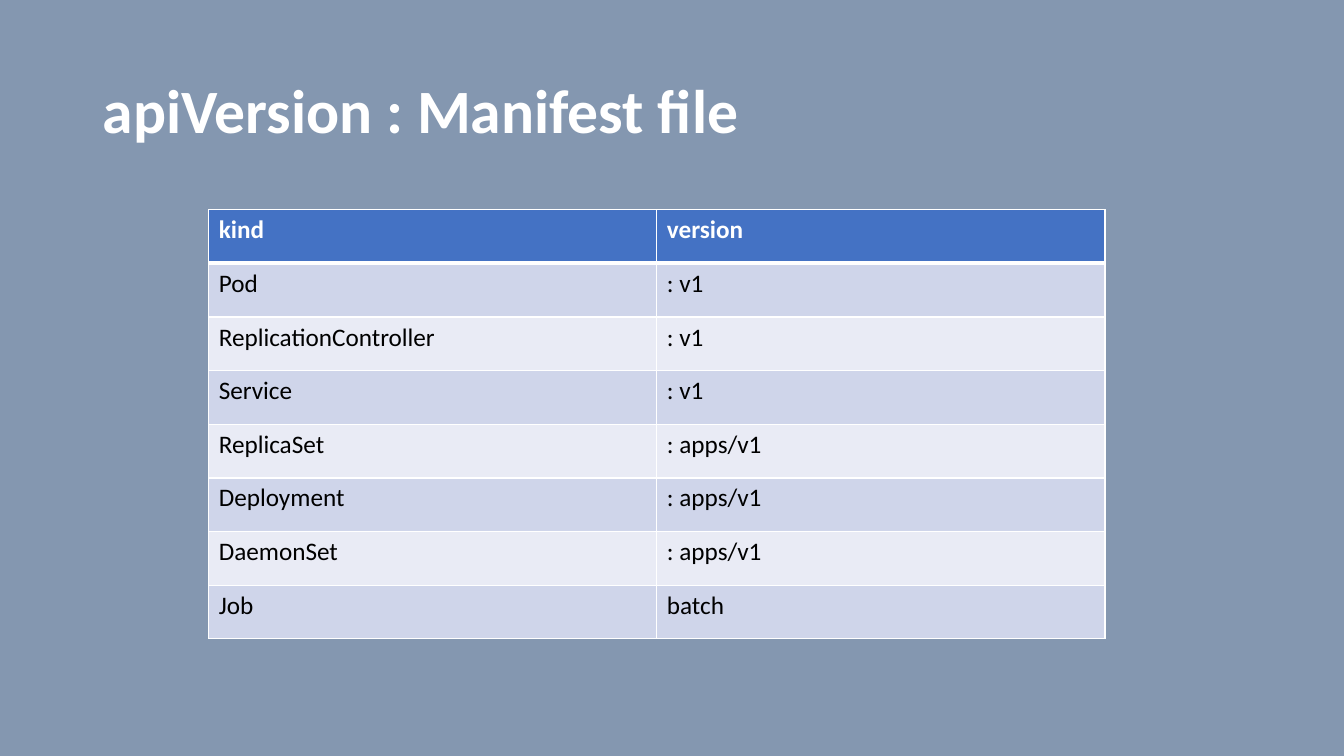
from lxml import etree
from pptx import Presentation
from pptx.dml.color import RGBColor
from pptx.enum.text import MSO_ANCHOR
from pptx.oxml.ns import qn
from pptx.util import Inches, Pt

MIDDLE = MSO_ANCHOR.MIDDLE

TITLE = "apiVersion : Manifest file"
VERSIONS = [
    ("kind", "version"),
    ("Pod", ": v1"),
    ("ReplicationController", ": v1"),
    ("Service", ": v1"),
    ("ReplicaSet", ": apps/v1"),
    ("Deployment", ": apps/v1"),
    ("DaemonSet", ": apps/v1"),
    ("Job", "batch"),
]

FONT = "Calibri"
BACKGROUND, WHITE, BLACK = "8497B0", "FFFFFF", "000000"
HEADER_FILL = "4472C4"
BAND_FILLS = ("E9EBF5", "CFD5EA")
THIN, THICK = 1, 3

SLIDE_WIDTH, SLIDE_HEIGHT = Inches(13.33), Inches(7.5)
TABLE_LEFT, TABLE_TOP = Inches(2.07), Inches(2.08)
TABLE_WIDTH, TABLE_HEIGHT = Inches(8.89), Inches(4.26)


def paint(fill, color):
    fill.solid()
    fill.fore_color.rgb = RGBColor.from_string(color)


def style_text(text_frame, size, color, bold):
    for run in text_frame.paragraphs[0].runs:
        run.font.name = FONT
        run.font.size = Pt(size)
        run.font.bold = bold
        run.font.color.rgb = RGBColor.from_string(color)


def set_borders(cell, top, bottom):
    properties = cell._tc.get_or_add_tcPr()
    widths = {"a:lnL": THIN, "a:lnR": THIN, "a:lnT": top, "a:lnB": bottom}
    for position, (side, width) in enumerate(widths.items()):
        border = etree.Element(qn(side), w=str(Pt(width)))
        fill = etree.SubElement(border, qn("a:solidFill"))
        etree.SubElement(fill, qn("a:srgbClr"), val=WHITE)
        properties.insert(position, border)


def add_title(slide):
    box = slide.shapes.add_textbox(
        Inches(0.92), Inches(0.4), Inches(11.5), Inches(1.45)
    )
    frame = box.text_frame
    frame.word_wrap = True
    frame.vertical_anchor = MIDDLE
    frame.text = TITLE
    frame.paragraphs[0].line_spacing = 0.9
    style_text(frame, 44, WHITE, True)


def add_versions(slide):
    table = slide.shapes.add_table(
        len(VERSIONS), len(VERSIONS[0]),
        TABLE_LEFT, TABLE_TOP, TABLE_WIDTH, TABLE_HEIGHT,
    ).table
    for row, entries in enumerate(VERSIONS):
        header = row == 0
        for column, entry in enumerate(entries):
            cell = table.cell(row, column)
            cell.text = entry
            style_text(cell.text_frame, 18, WHITE if header else BLACK, header)
            paint(cell.fill, HEADER_FILL if header else BAND_FILLS[row % 2])
            set_borders(
                cell, THICK if row == 1 else THIN, THICK if header else THIN
            )


def main():
    deck = Presentation()
    deck.slide_width, deck.slide_height = SLIDE_WIDTH, SLIDE_HEIGHT
    slide = deck.slides.add_slide(deck.slide_layouts[6])
    paint(slide.background.fill, BACKGROUND)
    add_title(slide)
    add_versions(slide)
    deck.save("out.pptx")


if __name__ == "__main__":
    main()
